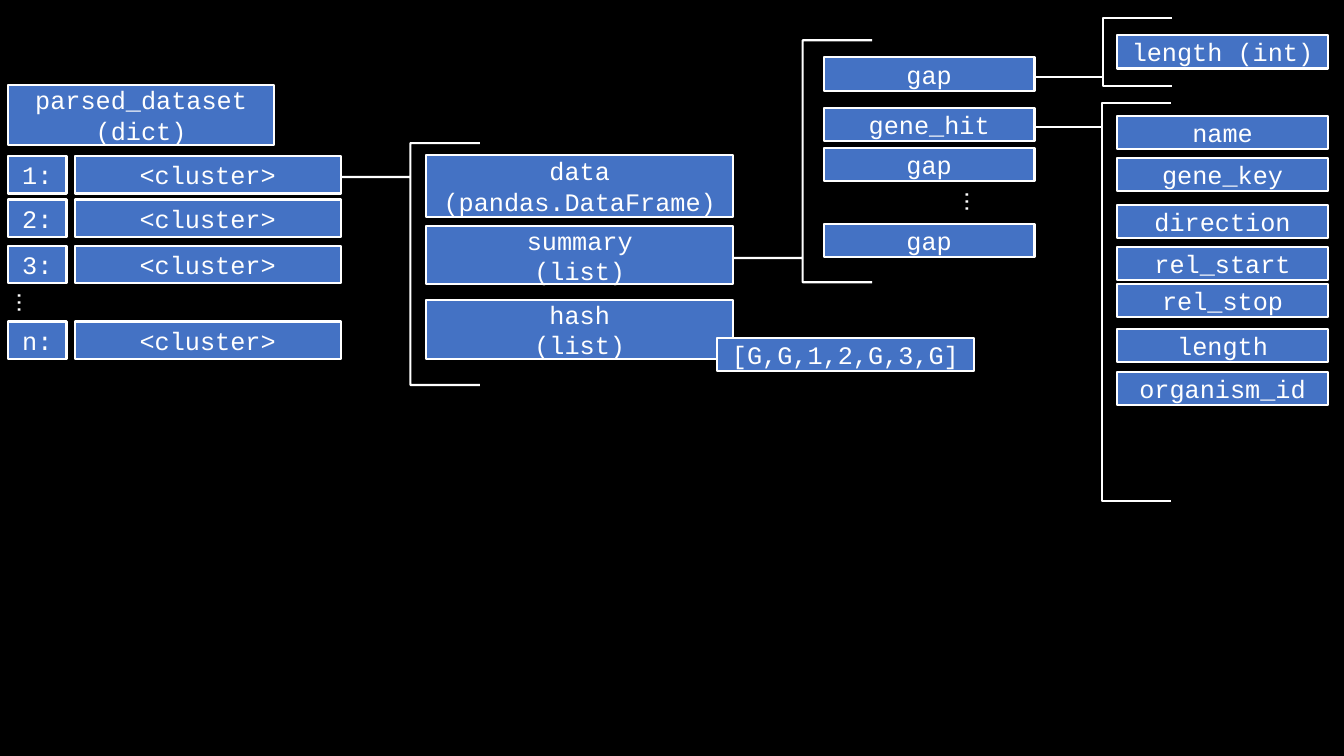
"""Build a slide showing the nested structure of a parsed dataset."""
from pptx import Presentation
from pptx.dml.color import RGBColor
from pptx.enum import shapes, text
from pptx.util import Inches, Pt

COLORS = {"back": "000000", "box": "4472C4", "ink": "FFFFFF"}
CODE_FONT, DOTS_FONT = "Courier New", "Arial"

# Columns: left, width, height, then (top, label) rows
COLUMNS = [
    (0.08, 2.64, 0.6, [(0.84, "parsed_dataset (dict)")]),
    (0.08, 0.58, 0.37, [(1.55, "1:"), (1.98, "2:"), (2.44, "3:"), (3.19, "n:")]),
    (0.74, 2.64, 0.37, [(top, "<cluster>") for top in (1.55, 1.98, 2.44, 3.19)]),
    (4.23, 3.04, 0.61, [(1.54, "data (pandas.DataFrame)")]),
    (4.23, 3.04, 0.58, [(2.24, "summary\n(list)"), (2.98, "hash\n(list)")]),
    (8.17, 2.09, 0.33, [(0.57, "gap"), (1.07, "gene_hit"), (1.47, "gap"), (2.22, "gap")]),
    (11.08, 2.09, 0.33, [
        (0.35, "length (int)"), (1.15, "name"), (1.57, "gene_key"),
        (2.03, "direction"), (2.45, "rel_start"), (2.82, "rel_stop"),
        (3.26, "length"), (3.69, "organism_id")]),
    (7.11, 2.55, 0.33, [(3.35, "[G,G,1,2,G,3,G]")]),
]
# Braces: left, top, width, height, position of the point
BRACES = [
    (3.38, 1.42, 1.38, 2.4, 0.14),
    (7.27, 0.4, 1.38, 2.4, 0.9),
    (10.26, 0.18, 1.36, 0.67, 0.87),
    (10.25, 1.02, 1.36, 3.95, 0.06),
]
ELLIPSES = [(0.07, 2.81), (9.47, 1.81)]


def color(name):
    return RGBColor.from_string(COLORS[name])


def add_outlined(s, kind, *place):
    sp = s.shapes.add_shape(kind, *map(Inches, place))
    sp.shadow.inherit = False
    sp.line.color.rgb = color("ink")
    sp.line.width = Pt(1.5)
    return sp


def write(tf, content, font, align):
    tf.text = content
    for p in tf.paragraphs:
        p.alignment = align
        p.font.name, p.font.size = font, Pt(18)
        p.font.color.rgb = color("ink")


def add_box(s, label, *place):
    sp = add_outlined(s, shapes.MSO_SHAPE.RECTANGLE, *place)
    sp.fill.solid()
    sp.fill.fore_color.rgb = color("box")
    sp.text_frame.vertical_anchor = text.MSO_ANCHOR.MIDDLE
    write(sp.text_frame, label, CODE_FONT, text.PP_ALIGN.CENTER)


def add_brace(s, left, top, width, height, point):
    sp = add_outlined(s, shapes.MSO_SHAPE.LEFT_BRACE, left, top, width, height)
    sp.fill.background()
    sp.adjustments[0], sp.adjustments[1] = 0, point


def add_ellipsis(s, left, top):
    sp = s.shapes.add_textbox(*map(Inches, (left, top, 0.41, 0.4)))
    sp.rotation = 90
    tf = sp.text_frame
    tf.word_wrap = False
    tf.auto_size = text.MSO_AUTO_SIZE.SHAPE_TO_FIT_TEXT
    write(tf, "...", DOTS_FONT, text.PP_ALIGN.LEFT)


prs = Presentation()
prs.slide_width, prs.slide_height = Inches(13.33), Inches(7.5)
s = prs.slides.add_slide(prs.slide_layouts[6])
s.background.fill.solid()
s.background.fill.fore_color.rgb = color("back")

for brace in BRACES:
    add_brace(s, *brace)
for left, width, height, rows in COLUMNS:
    for top, label in rows:
        add_box(s, label, left, top, width, height)
for spot in ELLIPSES:
    add_ellipsis(s, *spot)

prs.save("out.pptx")
